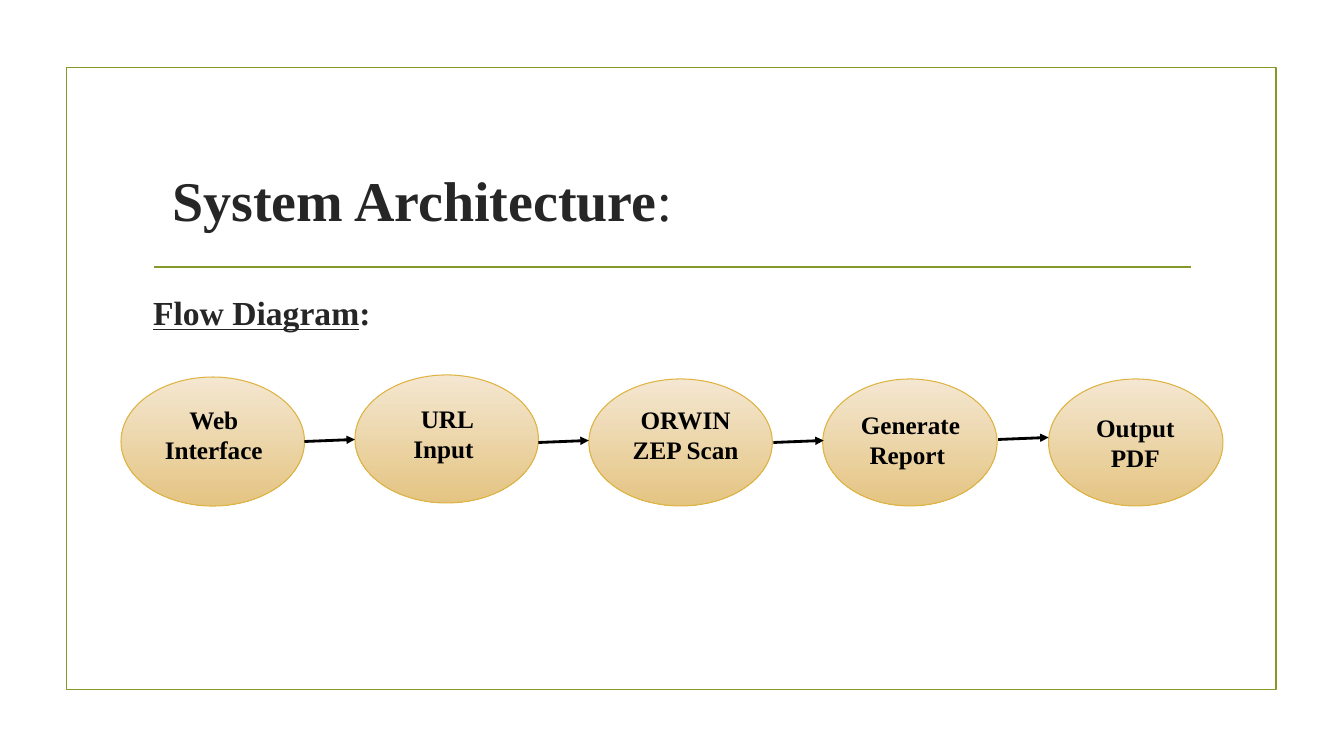
import lxml.etree
import pptx
import pptx.dml.color
import pptx.enum.shapes
import pptx.enum.text
import pptx.oxml.ns
import pptx.util

SCALE = 9144
FONT = "Times New Roman"
GREEN, GOLD, INK, BLACK = "83992A", "DEB340", "262626", "000000"
STEPS = [
    ("Web Interface", (120, 374, 182, 128), (28, 22)),
    ("URL Input ", (352, 372, 182, 127), (27, 23)),
    ("ORWIN ZEP Scan", (584, 376, 182, 126), (32, 20)),
    ("Generate Report ", (816, 376, 173, 126), (23, 25)),
    ("Output PDF", (1040, 376, 173, 126), (22, 28)),
]
ARROW_STARTS = [(302, 438), (534, 439), (767, 439), (990, 436)]


def px(*lengths):
    """Turn lengths in px into EMU."""
    return [pptx.util.Emu(length * SCALE) for length in lengths]


def color(value):
    """Turn a hex string into a colour."""
    return pptx.dml.color.RGBColor.from_string(value)


def set_line(shape, value, width):
    """Give a shape or connector its line colour and width."""
    shape.line.color.rgb = color(value)
    shape.line.width = pptx.util.Pt(width)


def write(shape, runs, size, value, align, anchor):
    """Write runs, each a text with its format values, into one paragraph."""
    frame = shape.text_frame
    frame.word_wrap = True
    frame.auto_size = pptx.enum.text.MSO_AUTO_SIZE.NONE
    frame.vertical_anchor = anchor
    paragraph = frame.paragraphs[0]
    paragraph.alignment = align
    for text, extra in runs:
        run = paragraph.add_run()
        run.text = text
        run.font.color.rgb = color(value)
        formats = {"name": FONT, "size": pptx.util.Pt(size), "bold": True, **extra}
        for name, setting in formats.items():
            setattr(run.font, name, setting)


def add_line(slide, start, end, value, width, arrow=False):
    """Draw a straight line, with an arrowhead at its end if wanted."""
    line = slide.shapes.add_connector(
        pptx.enum.shapes.MSO_CONNECTOR.STRAIGHT, *px(*start, *end))
    set_line(line, value, width)
    if arrow:
        lxml.etree.SubElement(
            line.line._get_or_add_ln(), pptx.oxml.ns.qn("a:tailEnd"), type="triangle")
    lxml.etree.SubElement(line._element.spPr, pptx.oxml.ns.qn("a:effectLst"))


def add_frame(slide, box):
    """Draw the border and the rule under the title."""
    left, top, width, height = box
    border = slide.shapes.add_shape(pptx.enum.shapes.MSO_SHAPE.RECTANGLE, *px(*box))
    border.shadow.inherit = False
    border.fill.background()
    set_line(border, GREEN, 1.25)
    rule = top + 198
    add_line(slide, (left + 87, rule), (left + width - 85, rule), GREEN, 1.25)


def add_headings(slide, box):
    """Place the title and the subheading in the box."""
    left, top, width, height = box
    align = pptx.enum.text.PP_ALIGN.LEFT
    title = slide.shapes.title
    title.left, title.top, title.width, title.height = px(left + 19, top, width, 105)
    write(title, [("System Architecture", {}), (":", {"bold": False})],
          40, INK, align, pptx.enum.text.MSO_ANCHOR.MIDDLE)
    subheading = slide.shapes.add_textbox(*px(left, top + 140, width, height - 140))
    write(subheading, [("Flow Diagram", {"underline": True}), (":", {})],
          24, INK, align, pptx.enum.text.MSO_ANCHOR.TOP)


def add_step(slide, label, box, offset):
    """Draw one step of the flow as an ellipse with its label."""
    ellipse = slide.shapes.add_shape(pptx.enum.shapes.MSO_SHAPE.OVAL, *px(*box))
    ellipse.shadow.inherit = False
    ellipse.fill.gradient()
    ellipse.fill.gradient_angle = 270
    for stop, position, value in zip(
            ellipse.fill.gradient_stops, (0, 1), ("F4E7D1", "E4C482")):
        stop.position = position
        stop.color.rgb = color(value)
    set_line(ellipse, GOLD, 0.75)
    text_box = slide.shapes.add_textbox(
        *px(box[0] + offset[0], box[1] + offset[1], 128, 71))
    write(text_box, [(label, {})], 18, BLACK, pptx.enum.text.PP_ALIGN.CENTER,
          pptx.enum.text.MSO_ANCHOR.TOP)


def add_flow(slide):
    """Draw the steps and the arrows between them."""
    for label, box, offset in STEPS:
        add_step(slide, label, box, offset)
    for left, top in ARROW_STARTS:
        add_line(slide, (left, top), (left + 50, top - 2), BLACK, 2, arrow=True)


def main():
    """Build the slide and save it."""
    presentation = pptx.Presentation()
    presentation.slide_width, presentation.slide_height = px(1333, 750)
    slide = presentation.slides.add_slide(presentation.slide_layouts[5])
    add_frame(slide, (66, 67, 1200, 617))
    add_headings(slide, (142, 145, 1050, 503))
    add_flow(slide)
    presentation.save("out.pptx")


if __name__ == "__main__":
    main()
